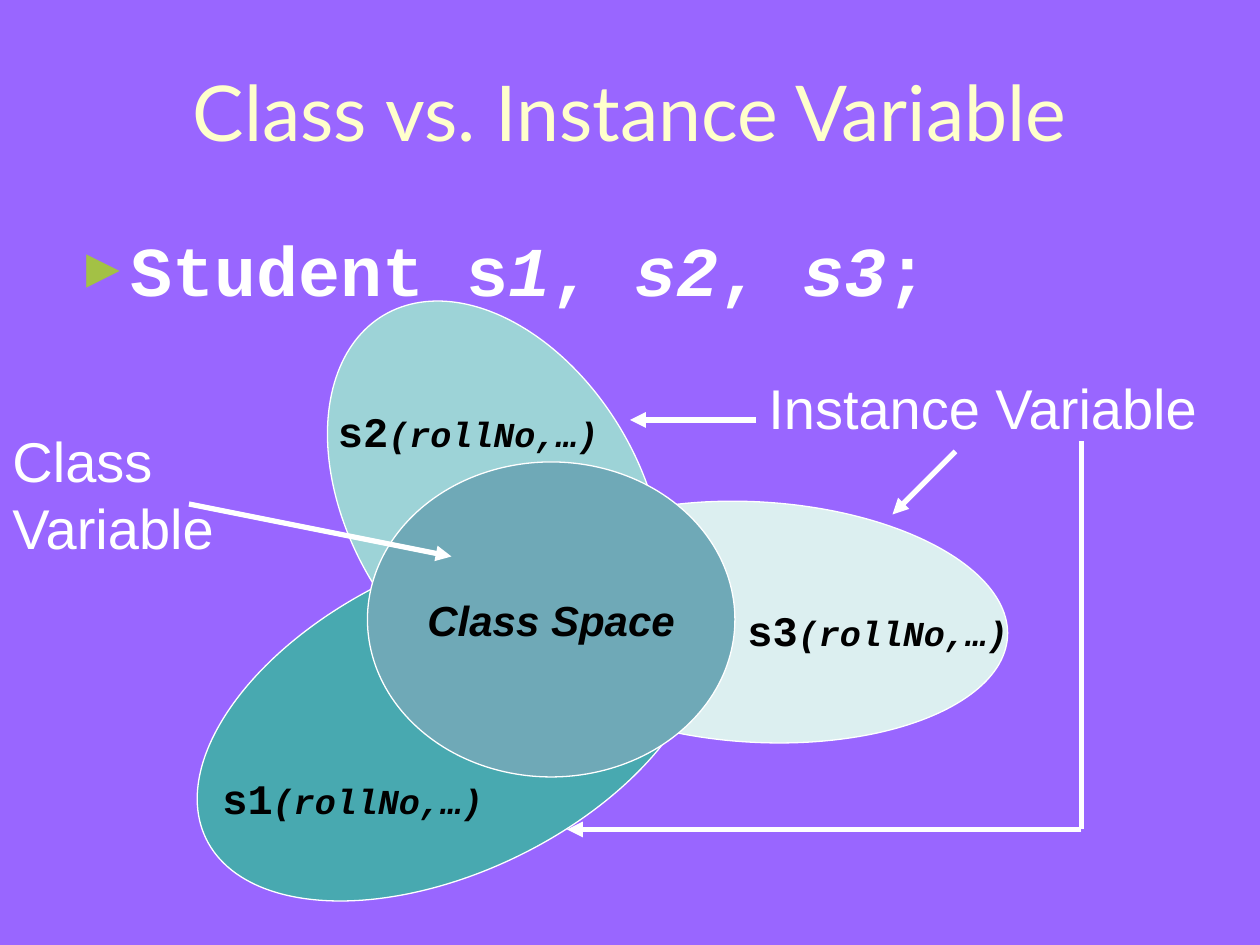
from lxml.etree import SubElement
from pptx import Presentation
from pptx.dml.color import RGBColor
from pptx.enum.shapes import MSO_CONNECTOR as CONNECTOR, MSO_SHAPE as SHAPE
from pptx.enum.text import MSO_ANCHOR as ANCHOR, PP_ALIGN as ALIGN
from pptx.oxml.ns import qn
from pptx.util import Pt

PX = 7620  # EMU per px, 120 px to the inch
WHITE, BLACK = "FFFFFF", "000000"
MONO, SANS, HEADING = "Courier New", "Arial", "Lato"


def px(*lengths):
    return [length * PX for length in lengths]


def color(hex_string):
    return RGBColor.from_string(hex_string)


def add_run(paragraph, text, size, font, fill, bold=False, italic=False):
    run = paragraph.add_run()
    run.text = text
    run.font.size = Pt(size)
    run.font.name = font
    run.font.color.rgb = color(fill)
    run.font.bold = bold
    run.font.italic = italic


def add_text(slide, box, wrap=True, anchor=ANCHOR.TOP, align=ALIGN.LEFT):
    """Add a text box and return its first paragraph."""
    frame = slide.shapes.add_textbox(*px(*box)).text_frame
    frame.word_wrap = wrap
    frame.vertical_anchor = anchor
    frame.paragraphs[0].alignment = align
    return frame.paragraphs[0]


def add_bullet(paragraph, char, fill, percent, indent):
    props = paragraph._p.get_or_add_pPr()
    props.set("marL", str(indent * PX))
    props.set("indent", str(-indent * PX))
    SubElement(SubElement(props, qn("a:buClr")), qn("a:srgbClr"), val=fill)
    SubElement(props, qn("a:buSzPct"), val=str(percent * 1000))
    SubElement(props, qn("a:buFont"), typeface=SANS)
    SubElement(props, qn("a:buChar"), char=char)


def add_ellipse(slide, box, fill, rotation=0):
    ellipse = slide.shapes.add_shape(SHAPE.OVAL, *px(*box))
    ellipse.rotation = rotation
    ellipse.shadow.inherit = False
    ellipse.fill.solid()
    ellipse.fill.fore_color.rgb = color(fill)
    ellipse.line.color.rgb = color(WHITE)
    ellipse.line.width = Pt(0.75)
    return ellipse


def add_line(slide, start, end, arrow=True):
    line = slide.shapes.add_connector(CONNECTOR.STRAIGHT, *px(*start, *end))
    line.line.color.rgb = color(WHITE)
    line.line.width = Pt(3)
    if arrow:
        SubElement(line.line._get_or_add_ln(), qn("a:tailEnd"), type="triangle")
    SubElement(line._element.spPr, qn("a:effectLst"))


def add_object_label(slide, name, box):
    label = add_text(slide, box)
    add_run(label, name, 24, MONO, BLACK, bold=True)
    add_run(label, "(rollNo,…)", 20, MONO, BLACK, bold=True, italic=True)


def main():
    prs = Presentation()
    prs.slide_width, prs.slide_height = px(1200, 900)
    slide = prs.slides.add_slide(prs.slide_layouts[6])
    slide.background.fill.solid()
    slide.background.fill.fore_color.rgb = color("9966FF")

    # Title
    title = add_text(slide, (40, 30, 1120, 150), anchor=ANCHOR.MIDDLE, align=ALIGN.CENTER)
    add_run(title, "Class vs. Instance Variable", 44, HEADING, "FFFFCC")

    # Declaration, with the object names in italics
    declaration = add_text(slide, (60, 225, 1080, 594))
    add_bullet(declaration, "►", "A3C145", percent=80, indent=45)
    declaration.line_spacing = 0.8
    for text, italic in (("Student s", False), ("1", True), (", ", False), ("s2", True),
                         (", ", False), ("s3", True), (";", False)):
        add_run(declaration, text, 40, MONO, WHITE, bold=True, italic=italic)

    # Object spaces around the shared class space
    add_ellipse(slide, (480, 478, 480, 229), "DCEFF0", rotation=3.3)
    add_ellipse(slide, (170, 540, 520, 290), "48A9B0", rotation=334)
    add_ellipse(slide, (263, 341, 418, 278), "9DD3D7", rotation=59.4)
    class_space = add_ellipse(slide, (350, 440, 350, 300), "6FA9B7").text_frame
    class_space.word_wrap = False
    class_space.vertical_anchor = ANCHOR.MIDDLE
    class_space.paragraphs[0].alignment = ALIGN.CENTER
    add_run(class_space.paragraphs[0], "Class Space", 24, SANS, BLACK, bold=True, italic=True)

    for name, box in (("s1", (200, 730, 310, 60)),
                      ("s2", (310, 380, 370, 60)),
                      ("s3", (700, 570, 370, 60))):
        add_object_label(slide, name, box)

    # Instance variable, pointing to each object
    corner = (1030, 790)
    add_line(slide, (1030, 420), corner, arrow=False)
    add_line(slide, corner, (540, 790))
    instance_variable = add_text(slide, (720, 350, 437, 77), wrap=False)
    add_run(instance_variable, "Instance Variable", 32, SANS, WHITE)
    add_line(slide, (910, 430), (850, 490))
    add_line(slide, (720, 400), (600, 400))

    # Class variable, pointing to the class space
    class_variable = add_text(slide, (0, 400, 280, 140))
    add_run(class_variable, "Class Variable", 32, SANS, WHITE)
    add_line(slide, (180, 480), (430, 530))

    prs.save("out.pptx")


if __name__ == "__main__":
    main()
